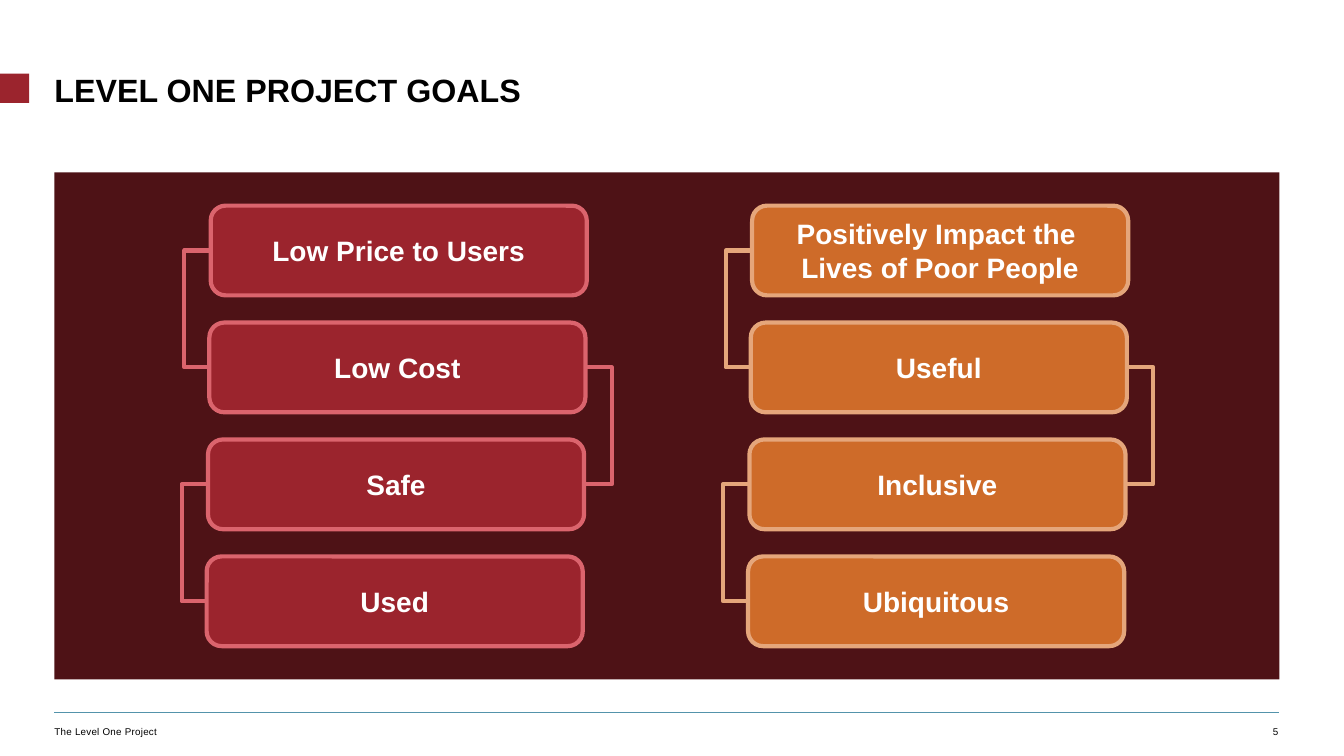
from pptx import Presentation
from pptx.dml.color import RGBColor
from pptx.enum.shapes import MSO_CONNECTOR, MSO_SHAPE
from pptx.enum.text import MSO_ANCHOR, MSO_AUTO_SIZE, PP_ALIGN
from pptx.oxml.ns import qn
from pptx.util import Inches, Pt
from lxml.etree import SubElement

TITLE = "LEVEL ONE PROJECT GOALS"
FOOTER = "The Level One Project"
PAGE_NUMBER = "5"
COLUMNS = [
    {"left": 2.09, "fill": "red", "line": "pink",
     "goals": ["Low Price to Users", "Low Cost", "Safe", "Used"]},
    {"left": 7.46, "fill": "orange", "line": "peach",
     "goals": ["Positively Impact the \nLives of Poor People", "Useful",
               "Inclusive", "Ubiquitous"]},
]
COLORS = {"red": "9B242D", "pink": "DB646D", "orange": "CE6B29",
          "peach": "E5A67B", "panel": "4E1216", "rule": "5393AB",
          "white": "FFFFFF", "black": "000000"}

WIDTH, HEIGHT = 13.33, 7.5
MARGIN, CONTENT_WIDTH = 0.54, 12.15
FIRST_TOP, ROW_STEP = 2.04, 1.16
CARD_WIDTH, CARD_HEIGHT = 3.73, 0.89
DRIFT = 0.04 / 3
REACH = 0.26


def color(name):
    return RGBColor.from_string(COLORS[name])


def write(shape, text, size, ink, bold=False, align=PP_ALIGN.LEFT, inset=0):
    frame = shape.text_frame
    frame.word_wrap = True
    frame.auto_size = MSO_AUTO_SIZE.NONE
    frame.vertical_anchor = MSO_ANCHOR.MIDDLE
    frame.margin_left = frame.margin_right = Inches(inset)
    frame.margin_top = frame.margin_bottom = Inches(inset / 2)
    para = frame.paragraphs[0]
    para.alignment = align
    for index, line in enumerate(text.split("\n")):
        if index:
            para.add_line_break()
        span = para.add_run()
        span.text = line
        span.font.name = "Arial"
        span.font.size = Pt(size)
        span.font.bold = bold
        span.font.color.rgb = color(ink)
    return para


def add_box(page, kind, place, fill, line=None):
    box = page.shapes.add_shape(kind, *map(Inches, place))
    box.shadow.inherit = False
    box.fill.solid()
    box.fill.fore_color.rgb = color(fill)
    if line:
        box.line.color.rgb = color(line)
        box.line.width = Pt(3)
    else:
        box.line.fill.background()
    return box


def add_line(page, kind, start, end, name, weight):
    connector = page.shapes.add_connector(kind, *map(Inches, start + end))
    connector.line.color.rgb = color(name)
    connector.line.width = Pt(weight)
    SubElement(connector._element.spPr, qn("a:effectLst"))
    return connector


def add_bracket(page, start, end, name, ratio):
    bracket = add_line(page, MSO_CONNECTOR.ELBOW, start, end, name, 3)
    geometry = bracket._element.spPr.find(qn("a:prstGeom"))
    guides = geometry.find(qn("a:avLst"))
    if guides is None:
        guides = SubElement(geometry, qn("a:avLst"))
    SubElement(guides, qn("a:gd"), name="adj1", fmla=f"val {round(ratio * 100000)}")


def add_column(page, column):
    spots = [(column["left"] - row * DRIFT, FIRST_TOP + row * ROW_STEP)
             for row in range(len(column["goals"]))]
    for row, (upper, lower) in enumerate(zip(spots, spots[1:])):
        on_right = row % 2 == 1
        start, end = [(left + on_right * CARD_WIDTH, top + CARD_HEIGHT / 2)
                      for left, top in (upper, lower)]
        ratio = -REACH / DRIFT if on_right else REACH / DRIFT
        add_bracket(page, start, end, column["line"], ratio)
    for spot, goal in zip(spots, column["goals"]):
        card = add_box(page, MSO_SHAPE.ROUNDED_RECTANGLE,
                       spot + (CARD_WIDTH, CARD_HEIGHT), column["fill"], column["line"])
        write(card, goal, 20, "white", True, PP_ALIGN.CENTER, 0.1)


def main():
    deck = Presentation()
    deck.slide_width, deck.slide_height = Inches(WIDTH), Inches(HEIGHT)
    page = deck.slides.add_slide(deck.slide_layouts[5])

    title = page.shapes.title
    title.left, title.top = Inches(MARGIN), Inches(0.71)
    title.width, title.height = Inches(CONTENT_WIDTH), Inches(0.32)
    write(title, TITLE, 23, "black", True).line_spacing = Pt(30.7)

    add_box(page, MSO_SHAPE.RECTANGLE, (0, 0.73, 0.29, 0.29), "red")
    add_box(page, MSO_SHAPE.RECTANGLE, (MARGIN, 1.71, CONTENT_WIDTH, 5.03), "panel")
    add_line(page, MSO_CONNECTOR.STRAIGHT, (MARGIN, 7.07),
             (MARGIN + CONTENT_WIDTH, 7.07), "rule", 0.5)

    footer = page.shapes.add_textbox(*map(Inches, (MARGIN, 7.14, 4.21, 0.23)))
    span = write(footer, FOOTER, 7, "black").runs[0]
    span.font._element.set("spc", "20")
    number = page.shapes.add_textbox(*map(Inches, (12.08, 7.14, 0.6, 0.23)))
    write(number, PAGE_NUMBER, 7, "black", align=PP_ALIGN.RIGHT)

    for column in COLUMNS:
        add_column(page, column)
    deck.save("out.pptx")


if __name__ == "__main__":
    main()
